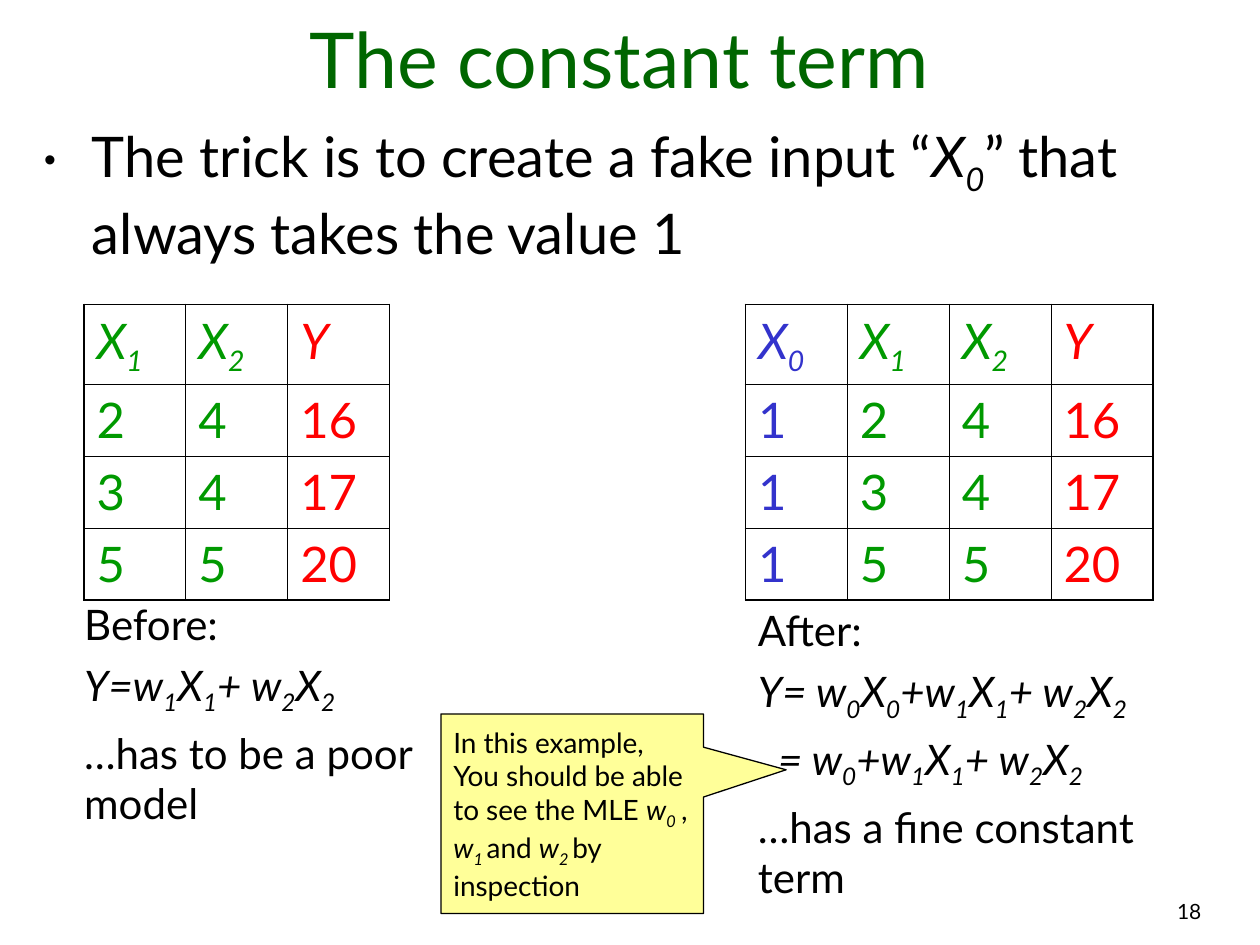
"""Build the slide on the constant term trick in linear regression."""
from dataclasses import dataclass

from lxml.etree import SubElement as Sub
from pptx import Presentation
from pptx.dml.color import RGBColor as Rgb
from pptx.enum.shapes import MSO_SHAPE as Kind
from pptx.enum.text import MSO_ANCHOR as Anchor, MSO_AUTO_SIZE as Fit, PP_ALIGN as Align
from pptx.oxml.ns import qn
from pptx.util import Inches, Pt

HUES = {"ink": "000000", "title": "006600", "fake": "3333CC",
        "input": "009900", "out": "FF0000", "note": "FFFF99"}
FONT = "Lato"
UNIT = Inches(10) / 120
COL, HEAD, ROW = 9.7, 7.56, 6.86
THICK, THIN = 1.08, 0.45


@dataclass
class Box:
    x: float
    y: float
    w: float
    h: float

    def emu(self) -> list[int]:
        return [round(v * UNIT) for v in (self.x, self.y, self.w, self.h)]


@dataclass
class Style:
    size: float
    hue: str = "ink"
    align: Align = Align.LEFT
    gap: float = 0


@dataclass
class Grid:
    x: float
    y: float
    hues: list[str]
    rows: list[list[str]]


@dataclass
class Block:
    box: Box
    lines: list[str]
    style: Style


GRIDS = [
    Grid(8, 29, ["input", "input", "out"],
         [["~X|_1", "~X|_2", "~Y"], ["2", "4", "16"],
          ["3", "4", "17"], ["5", "5", "20"]]),
    Grid(71, 29, ["fake", "input", "input", "out"],
         [["~X|_0", "~X|_1", "~X|_2", "~Y"], ["1", "2", "4", "16"],
          ["1", "3", "4", "17"], ["1", "5", "5", "20"]]),
]
BLOCKS = [
    Block(Box(6.84, 56.4, 37.2, 23),
          ["Before:", "~Y=w|_1|~X|_1|~+ w|_2|~X|_2", "…has to be a poor model"],
          Style(24, gap=6)),
    Block(Box(71, 57, 45, 29.5),
          ["After:",
           "~Y= w|_0|~X|_0|~+w|_1|~X|_1|~+ w|_2|~X|_2",
           "~= w|_0|~+w|_1|~X|_1|~+ w|_2|~X|_2",
           "…has a fine constant term"],
          Style(24, gap=6)),
    Block(Box(68.6, 85, 47, 4), ["18"], Style(12, align=Align.RIGHT)),
]
TRICK = "The trick is to create a fake input “|~X|_0|” that always takes the value 1"
HINT = ("In this example, You should be able to see the MLE |~w|_0|~ , w|_1 |and "
        "|~w|_2 |by inspection")


def write(frame, lines: list[str], style: Style) -> None:
    """Fill a text frame; ~ starts an italic run and _ an italic subscript."""
    for i, line in enumerate(lines):
        para = frame.add_paragraph() if i else frame.paragraphs[0]
        para.alignment = style.align
        para.space_before = Pt(style.gap if i else 0)
        for part in line.split("|"):
            run = para.add_run()
            run.text = part.lstrip("~_")
            font = run.font
            font.name, font.size = FONT, Pt(style.size)
            font.color.rgb = Rgb.from_string(HUES[style.hue])
            font.italic = part[0] in "~_"
            if part[0] == "_":
                run._r.get_or_add_rPr().set("baseline", "-25000")


def place(shape, box: Box) -> None:
    """Move a placeholder to its box and stop it from shrinking its text."""
    shape.left, shape.top, shape.width, shape.height = box.emu()
    shape.text_frame.auto_size = Fit.NONE


def bullet(para) -> None:
    """Give a paragraph a small black bullet with a hanging indent."""
    props = para._p.get_or_add_pPr()
    props.set("marL", str(Inches(0.38)))
    props.set("indent", str(-Inches(0.38)))
    Sub(Sub(props, qn("a:buClr")), qn("a:srgbClr"), val=HUES["ink"])
    Sub(props, qn("a:buSzPct"), val="60000")
    Sub(props, qn("a:buChar"), char="•")


def edge(cell, outer: dict[str, bool]) -> None:
    """Draw the cell borders, thicker on the outside of the table."""
    props = cell._tc.get_or_add_tcPr()
    for side, thick in outer.items():
        line = Sub(props, qn(f"a:ln{side}"), w=str(Pt(THICK if thick else THIN)))
        Sub(Sub(line, qn("a:solidFill")), qn("a:srgbClr"), val=HUES["ink"])


def draw(slide, grid: Grid) -> None:
    """Add one data table."""
    rows, cols = len(grid.rows), len(grid.hues)
    box = Box(grid.x, grid.y, COL * cols, HEAD + ROW * (rows - 1))
    table = slide.shapes.add_table(rows, cols, *box.emu()).table
    table.first_row = table.horz_banding = False
    for col in table.columns:
        col.width = round(COL * UNIT)
    for r, texts in enumerate(grid.rows):
        table.rows[r].height = round((ROW if r else HEAD) * UNIT)
        for c, text in enumerate(texts):
            cell = table.cell(r, c)
            write(cell.text_frame, [text], Style(28, grid.hues[c]))
            edge(cell, {"L": c == 0, "R": c == cols - 1,
                        "T": r == 0, "B": r == rows - 1})
            cell.fill.background()


def note(slide, box: Box, text: str) -> None:
    """Add the yellow callout."""
    shape = slide.shapes.add_shape(Kind.RECTANGULAR_CALLOUT, *box.emu())
    shape.adjustments[0], shape.adjustments[1] = 0.815, -0.22
    shape.shadow.inherit = False
    shape.fill.solid()
    shape.fill.fore_color.rgb = Rgb.from_string(HUES["note"])
    shape.line.color.rgb = Rgb.from_string(HUES["ink"])
    shape.line.width = Pt(0.75)
    shape.text_frame.word_wrap = True
    shape.text_frame.vertical_anchor = Anchor.MIDDLE
    write(shape.text_frame, [text], Style(16))


def main() -> None:
    """Build and save the slide."""
    deck = Presentation()
    deck.slide_width, deck.slide_height = Inches(10), Inches(7.5)
    slide = deck.slides.add_slide(deck.slide_layouts[1])
    title, body = slide.shapes.title, slide.placeholders[1]
    place(title, Box(3, 2, 112, 8.5))
    title.text_frame.vertical_anchor = Anchor.BOTTOM
    write(title.text_frame, ["The constant term"], Style(44, "title", Align.CENTER))
    place(body, Box(3, 11, 112.5, 15))
    bullet(body.text_frame.paragraphs[0])
    write(body.text_frame, [TRICK], Style(32))
    for grid in GRIDS:
        draw(slide, grid)
    for block in BLOCKS:
        frame = slide.shapes.add_textbox(*block.box.emu()).text_frame
        frame.word_wrap = True
        write(frame, block.lines, block.style)
        for para in frame.paragraphs:
            if para.text.startswith("="):
                para._p.get_or_add_pPr().set("marL", str(Inches(0.16)))
    note(slide, Box(42, 68, 25, 19), HINT)
    deck.save("out.pptx")


if __name__ == "__main__":
    main()
